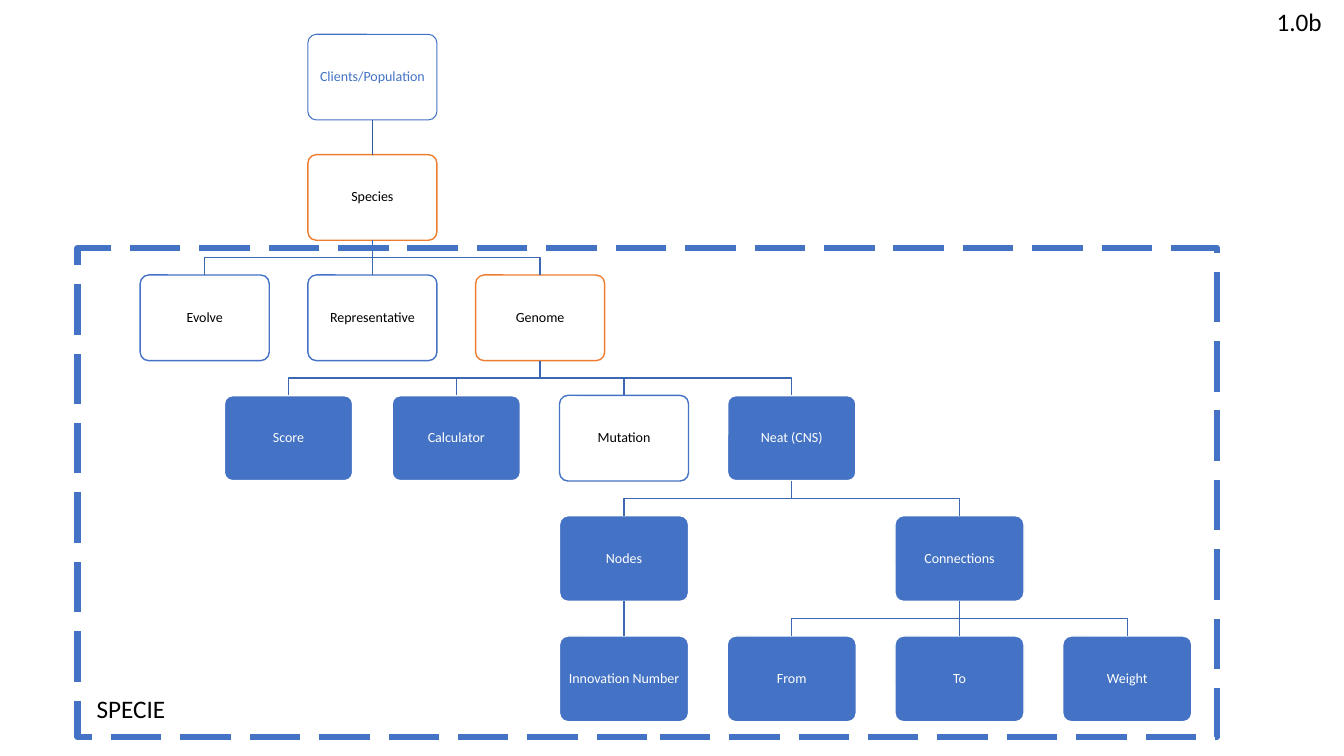
from lxml import etree
from pptx import Presentation
from pptx import util as u
from pptx.dml.color import RGBColor
from pptx.enum import dml, shapes, text
from pptx.oxml import ns

COLORS = {"blue": "4472C4", "orange": "ED7D31", "link": "3E67B2",
          "root link": "365B9D", "white": "FFFFFF", "black": "000000"}

# Fill, line, line width and text colour of each kind of box
STYLES = {"root": (None, "blue", 0.75, "blue"),
          "orange": ("white", "orange", 1, "black"),
          "blue": ("white", "blue", 1, "black"),
          "solid": ("blue", "white", 1, "white"),
          "solid wide": ("blue", "white", 1.5, "white")}

# Name, parent, column, row and style
NODES = [("Clients/Population", None, 2, 0, "root"),
         ("Species", "Clients/Population", 2, 1, "orange"),
         ("Evolve", "Species", 0, 2, "blue"),
         ("Representative", "Species", 2, 2, "blue"),
         ("Genome", "Species", 4, 2, "orange"),
         ("Score", "Genome", 1, 3, "solid wide"),
         ("Calculator", "Genome", 3, 3, "solid wide"),
         ("Mutation", "Genome", 5, 3, "blue"),
         ("Neat (CNS)", "Genome", 7, 3, "solid wide"),
         ("Nodes", "Neat (CNS)", 5, 4, "solid"),
         ("Innovation Number", "Nodes", 5, 5, "solid"),
         ("Connections", "Neat (CNS)", 9, 4, "solid"),
         ("From", "Connections", 7, 5, "solid"),
         ("To", "Connections", 9, 5, "solid"),
         ("Weight", "Connections", 11, 5, "solid")]

# Grid of the tree
BOX_WIDTH, BOX_HEIGHT = 1.28, 0.85
LEFT, TOP = 1.39, 0.34
COLUMN_STEP = (10.54 - LEFT) / 11
ROW_STEP = (6.31 - TOP) / 5

FRAME_FORMAT = {"word_wrap": True, "vertical_anchor": text.MSO_ANCHOR.MIDDLE}
MARGINS = ("margin_left", "margin_right", "margin_top", "margin_bottom")
BOX_FRAME = FRAME_FORMAT | dict.fromkeys(MARGINS, u.Inches(0.04))
LABEL_FRAME = {"word_wrap": True, "auto_size": text.MSO_AUTO_SIZE.SHAPE_TO_FIT_TEXT}


def color(name):
    return RGBColor.from_string(COLORS[name])


def apply(target, values):
    for name, value in values.items():
        setattr(target, name, value)


def set_line(shape, name, width):
    shape.line.color.rgb = color(name)
    shape.line.width = u.Pt(width)


def set_text(shape, words, frame_format, para_format, size, name):
    apply(shape.text_frame, frame_format)
    para = shape.text_frame.paragraphs[0]
    apply(para, para_format)
    span = para.add_run()
    span.text = words
    apply(span.font, {"name": "Calibri", "size": u.Pt(size)})
    span.font.color.rgb = color(name)


def add_node(page, name, column, row, style):
    fill, line, width, ink = STYLES[style]
    box = page.shapes.add_shape(
        shapes.MSO_SHAPE.ROUNDED_RECTANGLE,
        u.Inches(LEFT + column * COLUMN_STEP), u.Inches(TOP + row * ROW_STEP),
        u.Inches(BOX_WIDTH), u.Inches(BOX_HEIGHT))
    box.adjustments[0] = 0.1
    box.shadow.inherit = False
    if fill:
        box.fill.solid()
        box.fill.fore_color.rgb = color(fill)
    else:
        box.fill.background()
    set_line(box, line, width)
    set_text(box, name, BOX_FRAME,
             {"alignment": text.PP_ALIGN.CENTER, "line_spacing": 0.9}, 10, ink)
    return box


def add_link(page, parent, child, name):
    start_x, start_y = parent.left + parent.width // 2, parent.top + parent.height
    end_x, end_y = child.left + child.width // 2, child.top
    if parent.left == child.left:
        link = page.shapes.add_connector(
            shapes.MSO_CONNECTOR.STRAIGHT, start_x, start_y, end_x, end_y)
        link.begin_connect(parent, 2)
        link.end_connect(child, 0)
        set_line(link, name, 1)
        etree.SubElement(link._element.spPr, ns.qn("a:effectLst"))
    else:
        middle = (start_y + end_y) // 2
        builder = page.shapes.build_freeform(start_x, start_y)
        builder.add_line_segments(
            [(start_x, middle), (end_x, middle), (end_x, end_y)], close=False)
        link = builder.convert_to_shape()
        link.fill.background()
        link.shadow.inherit = False
        set_line(link, name, 1)


def add_dashed_frame(page, *place):
    frame = page.shapes.add_shape(
        shapes.MSO_SHAPE.RECTANGLE, *map(u.Inches, place))
    frame.shadow.inherit = False
    frame.fill.background()
    set_line(frame, "blue", 4.5)
    frame.line.dash_style = dml.MSO_LINE.LONG_DASH


def add_label(page, words, alignment, *place):
    label = page.shapes.add_textbox(*map(u.Inches, place))
    set_text(label, words, LABEL_FRAME, {"alignment": alignment}, 18, "black")


def main():
    deck = Presentation()
    deck.slide_width, deck.slide_height = u.Inches(13.33), u.Inches(7.5)
    page = deck.slides.add_slide(deck.slide_layouts[6])

    # Tree
    boxes = {}
    for name, parent, column, row, style in NODES:
        boxes[name] = add_node(page, name, column, row, style)
        if parent:
            link_color = "root link" if row == 1 else "link"
            add_link(page, boxes[parent], boxes[name], link_color)

    # Frame around one species, and the labels
    add_dashed_frame(page, 0.77, 2.46, 11.3, 4.85)
    add_label(page, "SPECIE", text.PP_ALIGN.LEFT, 0.86, 6.83, 1.13, 0.4)
    add_label(page, "1.0b", text.PP_ALIGN.CENTER, 12.44, 0.01, 0.89, 0.4)

    deck.save("out.pptx")


if __name__ == "__main__":
    main()
